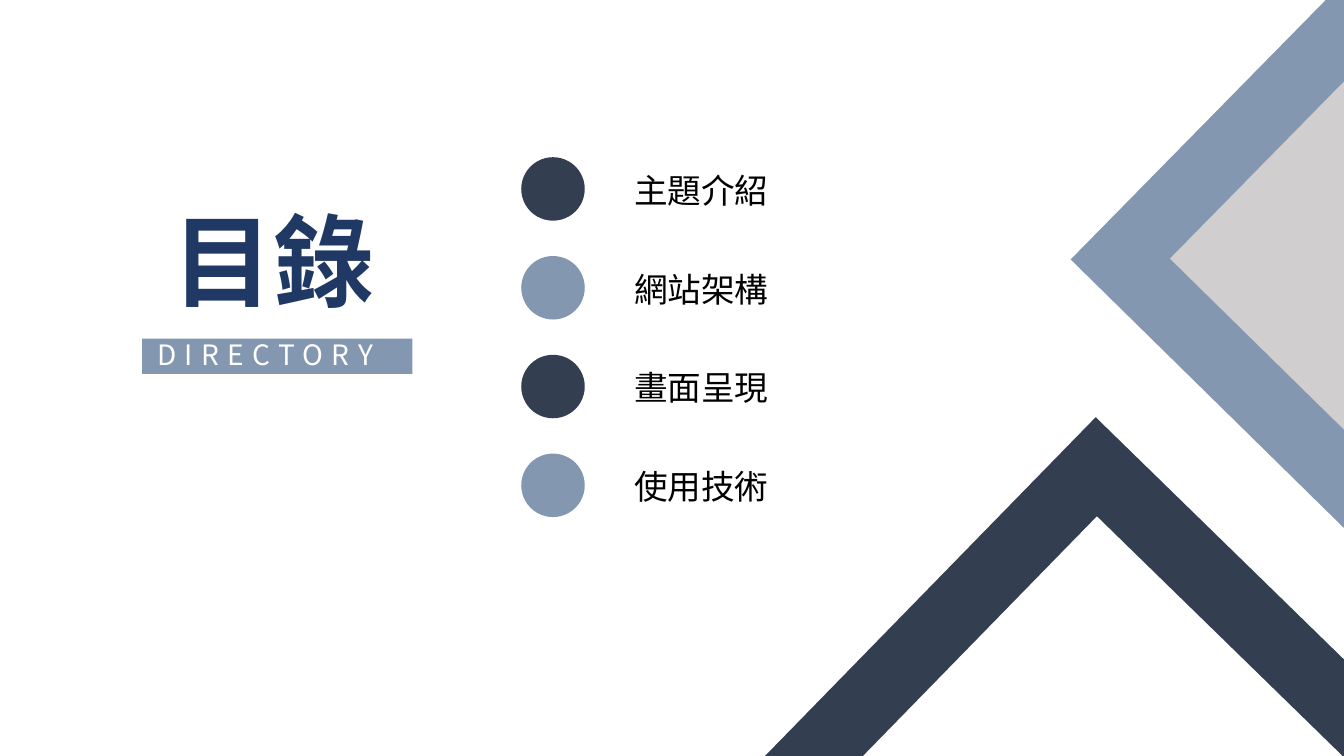
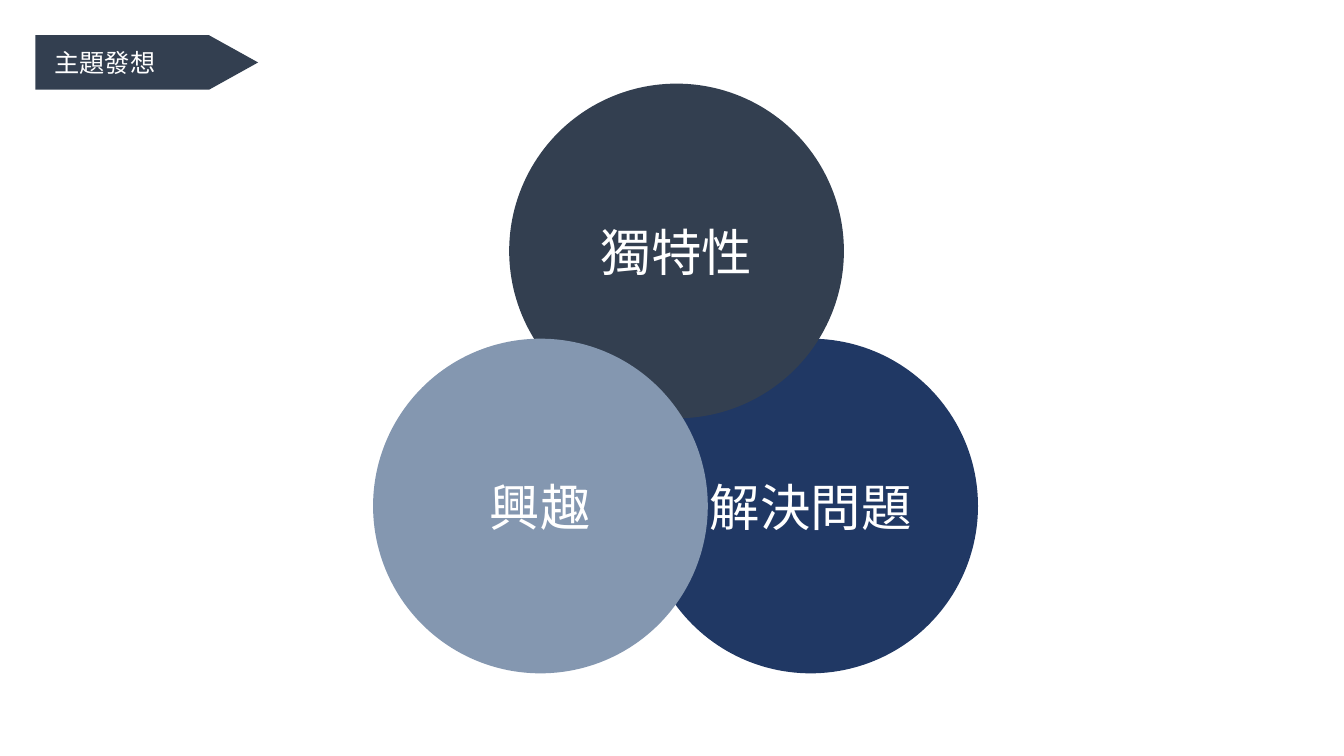
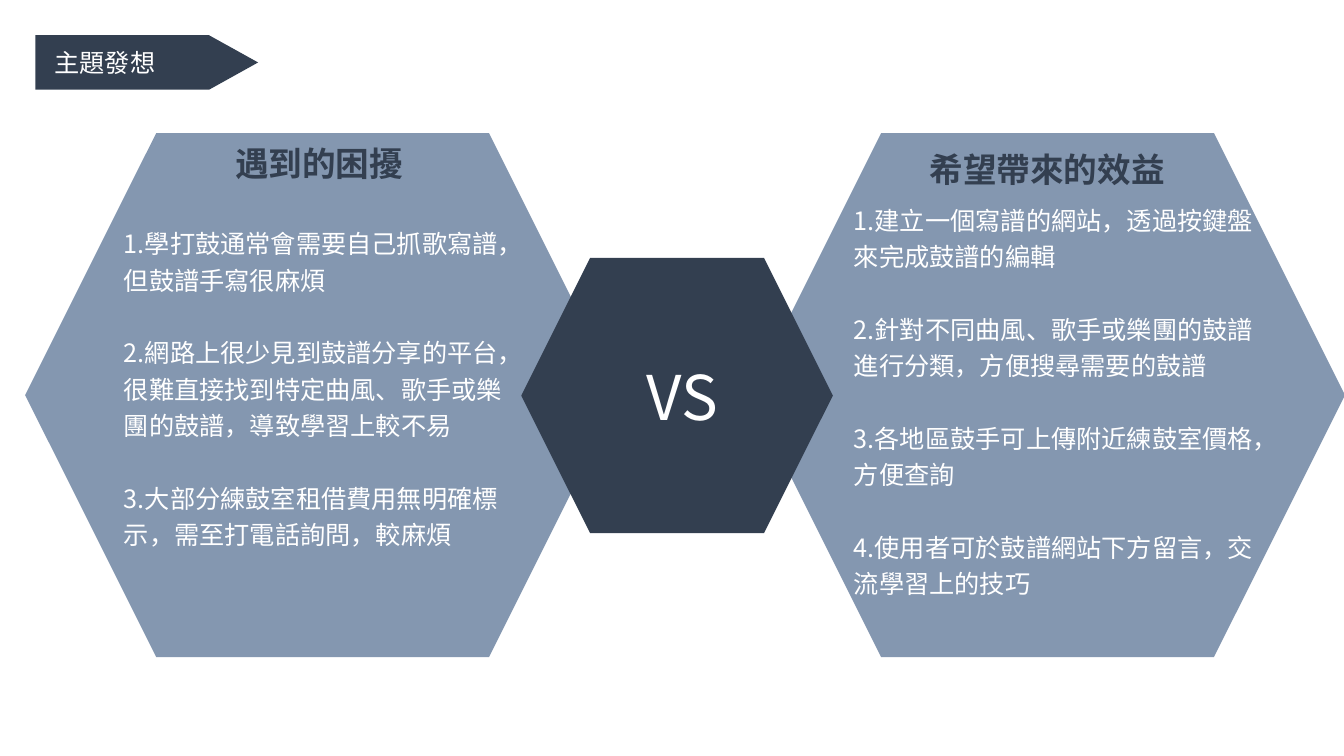
from dataclasses import dataclass

from lxml import etree
from pptx import Presentation
from pptx.dml.color import RGBColor
from pptx.enum.shapes import MSO_SHAPE
from pptx.enum.text import MSO_ANCHOR, PP_ALIGN
from pptx.oxml.ns import qn
from pptx.util import Inches, Pt

RECT, OVAL = MSO_SHAPE.RECTANGLE, MSO_SHAPE.OVAL
HEXAGON, PENTAGON = MSO_SHAPE.HEXAGON, MSO_SHAPE.PENTAGON
TOP, MIDDLE = MSO_ANCHOR.TOP, MSO_ANCHOR.MIDDLE
LEFT, CENTER = PP_ALIGN.LEFT, PP_ALIGN.CENTER


@dataclass(frozen=True)
class Theme:
    font: str = "Noto Sans CJK SC"
    slate: str = "333F50"
    steel: str = "8497B0"
    navy: str = "203864"
    grey: str = "D0CECE"
    white: str = "FFFFFF"
    black: str = "000000"
    title: int = 72
    versus: int = 44
    circle: int = 36
    heading: int = 24
    caption: int = 20
    body: int = 18
    frame: int = 50


T = Theme()


def rgb(color):
    return RGBColor.from_string(color)


def add_run(p, text, size, color, bold=False, spacing=0):
    """Add a run; spacing is the letter spacing in points."""
    r = p.add_run()
    r.text = text
    r.font.size = Pt(size)
    r.font.bold = bold
    r.font.color.rgb = rgb(color)
    r.font.name = T.font
    rPr = r.font._element
    etree.SubElement(rPr, qn("a:ea")).set("typeface", T.font)
    if spacing:
        rPr.set("spc", str(spacing * 100))


def add_box(s, x, y, w, h, kind, fill=None):
    sp = s.shapes.add_shape(kind, Inches(x), Inches(y), Inches(w), Inches(h))
    sp.shadow.inherit = False
    sp.line.fill.background()
    if fill:
        sp.fill.solid()
        sp.fill.fore_color.rgb = rgb(fill)
    else:
        sp.fill.background()
    return sp


def fill_text(sp, text, size, color, align=CENTER, anchor=MIDDLE, **style):
    tf = sp.text_frame
    tf.word_wrap = True
    tf.vertical_anchor = anchor
    p = tf.paragraphs[0]
    p.alignment = align
    add_run(p, text, size, color, **style)


def add_text(s, x, y, w, h, text, size, color, **style):
    tb = s.shapes.add_textbox(Inches(x), Inches(y), Inches(w), Inches(h))
    fill_text(tb, text, size, color, **style)


def add_frame(s, x, y, w, h, angle, color, fill=None):
    """Add a tilted square with a thick, sharp-cornered outline."""
    sp = add_box(s, x, y, w, h, RECT, fill)
    sp.rotation = angle
    sp.line.width = Pt(T.frame)
    sp.line.color.rgb = rgb(color)
    ln = sp.line._get_or_add_ln()
    etree.SubElement(ln, qn("a:miter")).set("lim", "800000")


def add_numbered_list(s, x, y, w, h, items):
    tb = s.shapes.add_textbox(Inches(x), Inches(y), Inches(w), Inches(h))
    tf = tb.text_frame
    tf.word_wrap = True
    for i, item in enumerate(items):
        p = tf.add_paragraph() if i else tf.paragraphs[0]
        p.line_spacing = 1.2
        if i:
            p.space_before = Pt(26)
        pPr = p._p.get_or_add_pPr()
        pPr.set("marL", "0")
        pPr.set("indent", str(-Inches(0.38)))
        etree.SubElement(pPr, qn("a:buFont")).set("typeface", "+mj-lt")
        etree.SubElement(pPr, qn("a:buAutoNum")).set("type", "arabicPeriod")
        add_run(p, item, T.body, T.white)


def add_section_tag(s, text):
    sp = add_box(s, 0.35, 0.35, 2.21, 0.54, PENTAGON, T.slate)
    sp.adjustments[0] = 0.9
    sp.text_frame.margin_left = Inches(0.19)
    fill_text(sp, text, T.body, T.white, align=LEFT)


def new_slide(prs, tag=None):
    s = prs.slides.add_slide(prs.slide_layouts[6])
    if tag:
        add_section_tag(s, tag)
    return s


def build_contents(prs):
    s = new_slide(prs)
    add_frame(s, 12.01, 0.37, 4.5, 4.41, 44.5, T.steel, T.grey)
    add_frame(s, 8.04, 5.83, 5.78, 5.76, 44.3, T.slate)

    add_text(s, 1.61, 1.92, 2.4, 1.31, "目錄", T.title, T.navy,
             align=LEFT, anchor=TOP, bold=True)
    add_box(s, 1.41, 3.36, 2.68, 0.35, RECT, T.steel)
    add_text(s, 1.46, 3.3, 2.63, 0.44, "DIRECTORY", T.caption, T.white,
             align=LEFT, anchor=TOP, spacing=6)

    topics = ["主題介紹", "網站架構", "畫面呈現", "使用技術"]
    top, step, dot = 1.56, 0.98, 0.63
    for i, topic in enumerate(topics):
        y = top + i * step
        add_box(s, 5.17, y, dot, dot, OVAL, (T.slate, T.steel)[i % 2])
        add_text(s, 6.19, y + 0.01, 2.9, dot, topic, T.heading, T.black,
                 align=LEFT)


def build_motives(prs):
    s = new_slide(prs, "主題發想")
    size = 3.32
    for x, y, fill, text in [
        (6.38, 3.36, T.navy, "解決問題"),
        (5.05, 0.83, T.slate, "獨特性"),
        (3.7, 3.36, T.steel, "興趣"),
    ]:
        sp = add_box(s, x, y, size, size, OVAL, fill)
        fill_text(sp, text, T.circle, T.white)


def build_comparison(prs):
    s = new_slide(prs, "主題發想")
    for x in (0.25, 7.44):
        add_box(s, x, 1.32, 5.9, 5.2, HEXAGON, T.steel)
    add_box(s, 5.17, 2.56, 3.09, 2.73, HEXAGON, T.slate)
    add_text(s, 5.17, 2.56, 3.2, 2.73, "VS", T.versus, T.white)

    for x, y, w, heading in [
        (2.16, 1.37, 2.01, "遇到的困擾"),
        (8.97, 1.43, 2.83, "希望帶來的效益"),
    ]:
        add_text(s, x, y, w, 0.5, heading, T.heading, T.slate,
                 anchor=TOP, bold=True)

    add_numbered_list(s, 1.13, 2.16, 4.05, 3.54, [
        "學打鼓通常會需要自己抓歌寫譜，但鼓譜手寫很麻煩",
        "網路上很少見到鼓譜分享的平台，很難直接找到特定曲風、歌手或樂團的鼓譜，導致學習上較不易",
        "大部分練鼓室租借費用無明確標示，需至打電話詢問，較麻煩",
    ])
    add_numbered_list(s, 8.37, 1.93, 4.23, 2.93, [
        "建立一個寫譜的網站，透過按鍵盤來完成鼓譜的編輯",
        "針對不同曲風、歌手或樂團的鼓譜進行分類，方便搜尋需要的鼓譜",
        "各地區鼓手可上傳附近練鼓室價格，方便查詢",
        "使用者可於鼓譜網站下方留言，交流學習上的技巧",
    ])


def main():
    prs = Presentation()
    prs.slide_width = Inches(13.33)
    prs.slide_height = Inches(7.5)
    build_contents(prs)
    build_motives(prs)
    build_comparison(prs)
    prs.save("out.pptx")


if __name__ == "__main__":
    main()
